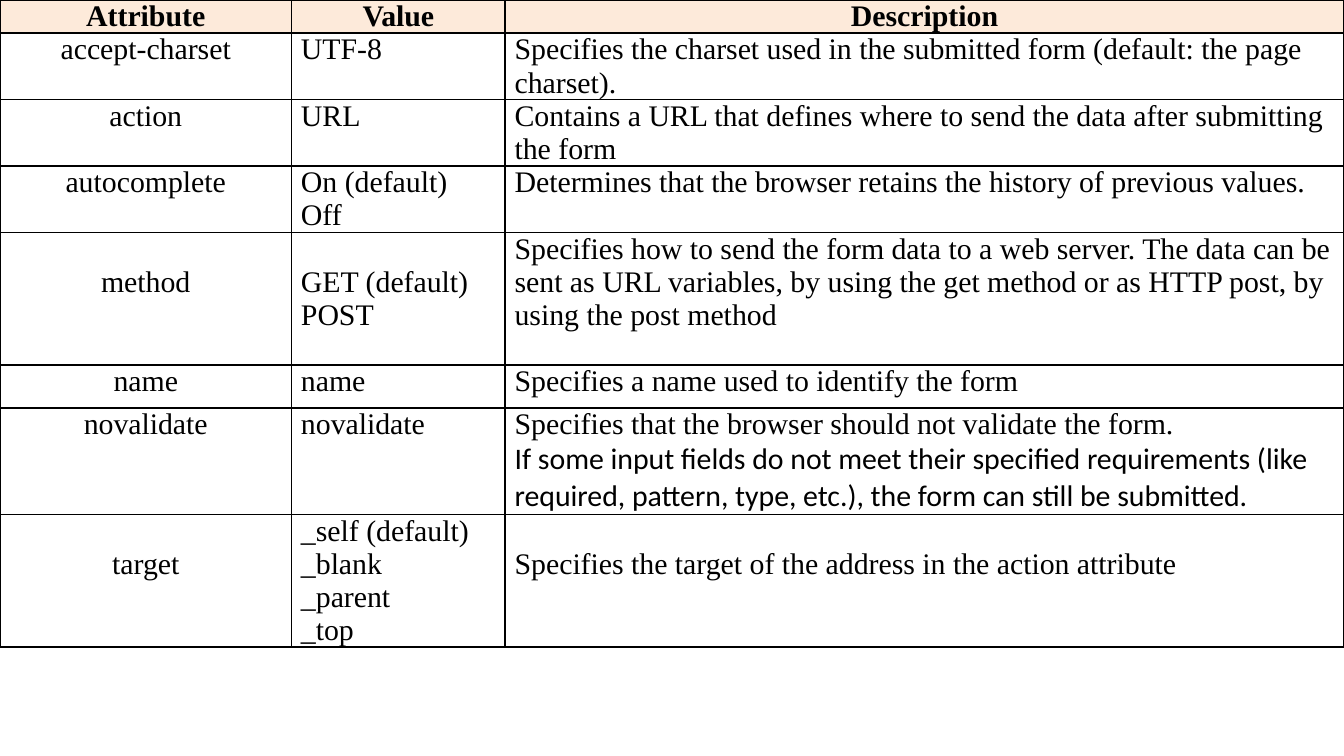
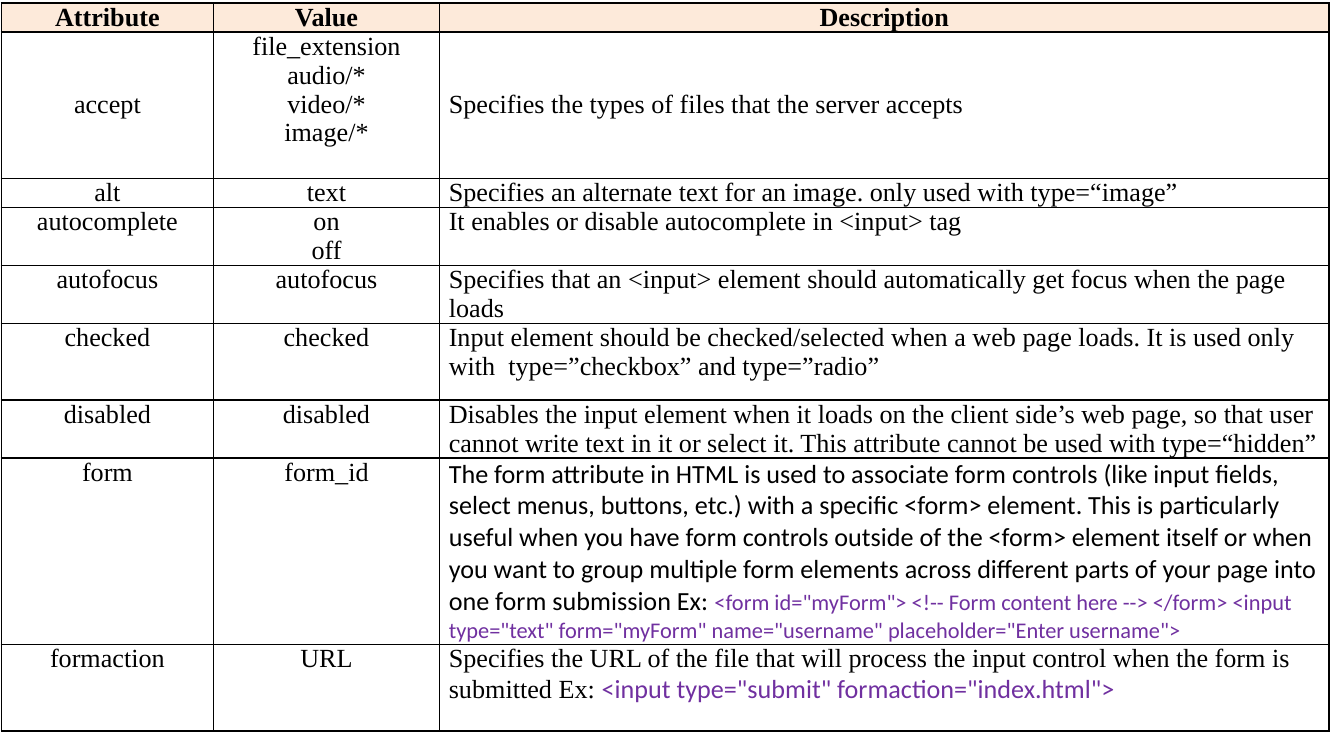
"""Build two slides of reference tables for HTML form and input attributes."""
from dataclasses import dataclass

from lxml.etree import SubElement
from pptx import Presentation
from pptx.dml.color import RGBColor
from pptx.enum.text import PP_ALIGN
from pptx.oxml.ns import qn
from pptx.slide import Slide
from pptx.table import _Cell
from pptx.util import Emu, Inches, Pt

BLACK = RGBColor(0x00, 0x00, 0x00)
PEACH = RGBColor(0xFD, 0xEA, 0xDA)
PURPLE = RGBColor(0x70, 0x30, 0xA0)
SERIF, SANS = "Times New Roman", "Calibri"
SLIDE_WIDTH = Inches(10)
SLIDE_HEIGHT = Emu(SLIDE_WIDTH * 9 // 16)
LINE_HEIGHT = 1.11
CELL_FORMAT = {
    "margin_left": Inches(0.07),
    "margin_right": Inches(0.07),
    "margin_bottom": 0,
}
TABLE_FORMAT = {"first_row": True, "horz_banding": False}
HEADINGS = ("Attribute", "Value", "Description")


@dataclass(frozen=True)
class Span:
    """A stretch of text in one style; size None means the table's size."""
    text: str
    font: str = SERIF
    color: RGBColor = BLACK
    size: int | None = None


Paragraph = tuple[Span, ...]


@dataclass(frozen=True)
class AttributeRow:
    """One attribute; height and leading gaps are counted in text lines."""
    name: str
    values: tuple[str, ...]
    description: tuple[Paragraph, ...]
    lines: float
    gaps: tuple[int, int, int] = (0, 0, 0)


@dataclass(frozen=True)
class AttributeTable:
    """A table placed by shares of the slide's size."""
    left: float
    top: float
    columns: tuple[float, ...]
    size: int
    centred_columns: tuple[int, ...]
    rows: tuple[AttributeRow, ...]


def plain(text: str) -> tuple[Paragraph, ...]:
    """Return one paragraph in the body style."""
    return ((Span(text),),)


FORM_TABLE = AttributeTable(0, 0, (21.7, 15.9, 62.4), 16, (0,), (
    AttributeRow("accept-charset", ("UTF-8",), plain(
        "Specifies the charset used in the submitted form (default: the page charset)."), 2),
    AttributeRow("action", ("URL",), plain(
        "Contains a URL that defines where to send the data after submitting the form"), 2),
    AttributeRow("autocomplete", ("On (default)", "Off"), plain(
        "Determines that the browser retains the history of previous values."), 2),
    AttributeRow("method", ("GET (default)", "POST"), plain(
        "Specifies how to send the form data to a web server. The data can be sent as "
        "URL variables, by using the get method or as HTTP post, by using the post method"),
        4, (1, 1, 0)),
    AttributeRow("name", ("name",), plain("Specifies a name used to identify the form"), 1.3),
    AttributeRow("novalidate", ("novalidate",), (
        (Span("Specifies that the browser should not validate the form."),),
        (Span("If some input fields do not meet their specified requirements (like required, "
              "pattern, type, etc.), the form can still be submitted.", SANS),)), 3.2),
    AttributeRow("target", ("_self (default)", "_blank", "_parent", "_top"), plain(
        "Specifies the target of the address in the action attribute"), 4, (1, 0, 1)),
))

INPUT_TABLE = AttributeTable(0.1, 0.4, (15.8, 16.8, 66.2), 14, (0, 1), (
    AttributeRow("accept", ("file_extension", "audio/*", "video/*", "image/*"), plain(
        "Specifies the types of files that the server accepts"), 5.05, (2, 0, 2)),
    AttributeRow("alt", ("text",), plain(
        "Specifies an alternate text for an image. only used with type=“image”"), 1),
    AttributeRow("autocomplete", ("on", "off"), plain(
        "It enables or disable autocomplete in <input> tag"), 2),
    AttributeRow("autofocus", ("autofocus",), plain(
        "Specifies that an <input> element should automatically get focus when the page loads"),
        2),
    AttributeRow("checked", ("checked",), plain(
        "Input element should be checked/selected when a web page loads. It is used only "
        "with  type=”checkbox” and type=”radio”"), 2.65),
    AttributeRow("disabled", ("disabled",), plain(
        "Disables the input element when it loads on the client side’s web page, so that user "
        "cannot write text in it or select it. This attribute cannot be used with "
        "type=“hidden”"), 2),
    AttributeRow("form", ("form_id",), ((
        Span("The form attribute in HTML is used to associate form controls (like input fields, "
             "select menus, buttons, etc.) with a specific <form> element. This is particularly "
             "useful when you have form controls outside of the <form> element itself or when "
             "you want to group multiple form elements across different parts of your page into "
             "one form submission Ex: ", SANS),
        Span('<form id="myForm"> <!-- Form content here --> </form> <input type="text" '
             'form="myForm" name="username" placeholder="Enter username">', SANS, PURPLE, 12),
    ),), 6.4),
    AttributeRow("formaction", ("URL",), ((
        Span("Specifies the URL of the file that will process the input control when the form "
             "is submitted Ex: "),
        Span('<input type="submit" formaction="index.html">', SANS, PURPLE),
    ),), 2.97),
))


def draw_borders(cell: _Cell) -> None:
    """Draw a thin black line on each side of a cell."""
    properties = cell._tc.get_or_add_tcPr()
    for side in ("a:lnL", "a:lnR", "a:lnT", "a:lnB"):
        line = SubElement(properties, qn(side), w=str(Pt(1)))
        SubElement(SubElement(line, qn("a:solidFill")), qn("a:srgbClr"), val=str(BLACK))


def fill_cell(cell: _Cell, paragraphs: tuple[Paragraph, ...], size: int,
              centred: bool, heading: bool = False, gap: int = 0) -> None:
    """Write styled paragraphs into a cell and set its look."""
    draw_borders(cell)
    if heading:
        cell.fill.solid()
        cell.fill.fore_color.rgb = PEACH
    else:
        cell.fill.background()
    cell_format = CELL_FORMAT | {"margin_top": Pt(gap * size * LINE_HEIGHT)}
    for key, value in cell_format.items():
        setattr(cell, key, value)
    frame = cell.text_frame
    for index, spans in enumerate(paragraphs):
        paragraph = frame.add_paragraph() if index else frame.paragraphs[0]
        paragraph.alignment = PP_ALIGN.CENTER if centred else PP_ALIGN.LEFT
        for span in spans:
            run = paragraph.add_run()
            run.text = span.text
            font_format = {"name": span.font, "size": Pt(span.size or size), "bold": heading}
            for key, value in font_format.items():
                setattr(run.font, key, value)
            run.font.color.rgb = span.color


def draw_table(slide: Slide, content: AttributeTable) -> None:
    """Draw the headings and all attribute rows."""
    widths = [Emu(round(SLIDE_WIDTH * share / 100)) for share in content.columns]
    heights = [Pt(lines * content.size * LINE_HEIGHT)
               for lines in (1, *(row.lines for row in content.rows))]
    shape = slide.shapes.add_table(
        len(heights), len(widths),
        Emu(round(SLIDE_WIDTH * content.left / 100)),
        Emu(round(SLIDE_HEIGHT * content.top / 100)),
        Emu(sum(widths)), Emu(sum(heights)))
    table = shape.table
    for key, value in TABLE_FORMAT.items():
        setattr(table, key, value)
    for column, width in zip(table.columns, widths):
        column.width = width
    for table_row, height in zip(table.rows, heights):
        table_row.height = height
    for index, heading in enumerate(HEADINGS):
        fill_cell(table.cell(0, index), plain(heading), content.size, True, heading=True)
    for row_index, row in enumerate(content.rows, start=1):
        values = tuple((Span(value),) for value in row.values)
        cells = (plain(row.name), values, row.description)
        for index, (paragraphs, gap) in enumerate(zip(cells, row.gaps)):
            fill_cell(table.cell(row_index, index), paragraphs, content.size,
                      index in content.centred_columns, gap=gap)


def main() -> None:
    """Build and save the presentation."""
    presentation = Presentation()
    presentation.slide_width, presentation.slide_height = SLIDE_WIDTH, SLIDE_HEIGHT
    for content in (FORM_TABLE, INPUT_TABLE):
        slide = presentation.slides.add_slide(presentation.slide_layouts[6])
        draw_table(slide, content)
    presentation.save("out.pptx")


if __name__ == "__main__":
    main()
